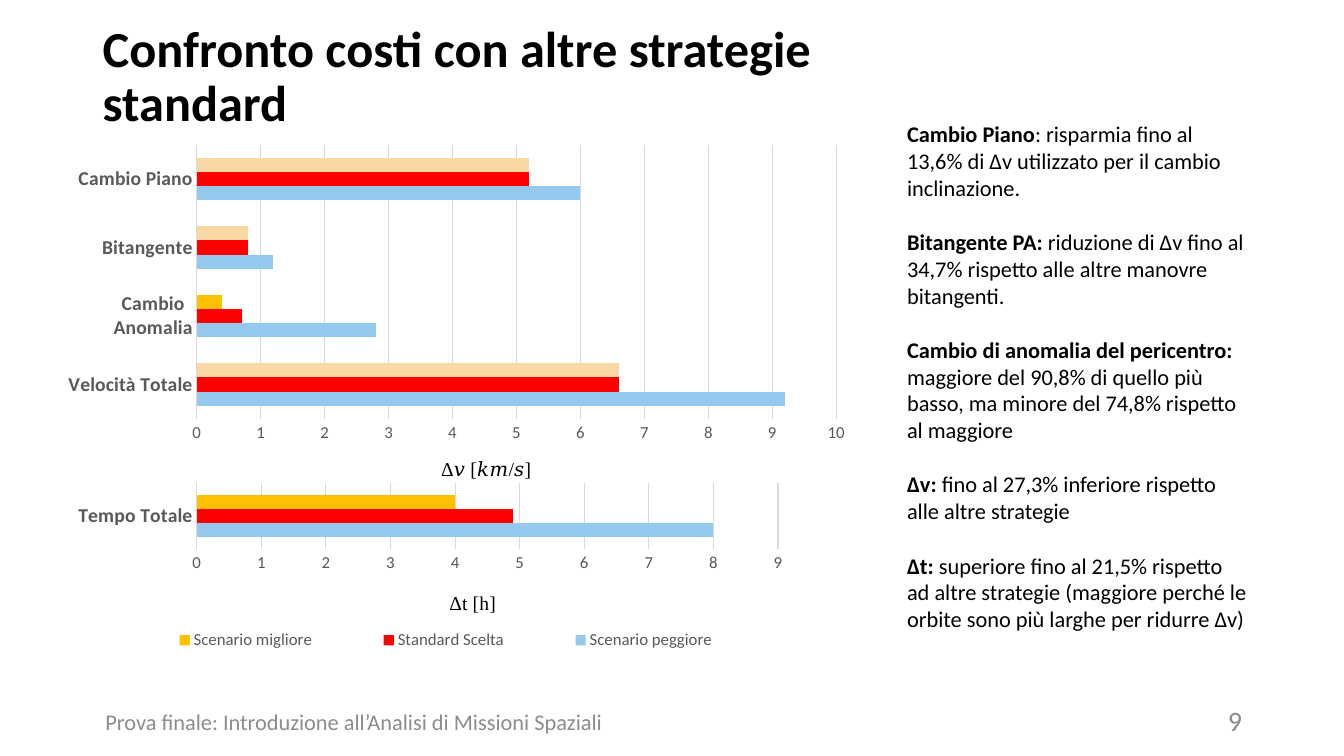
from dataclasses import dataclass

from lxml.etree import SubElement
from pptx import Presentation
from pptx.chart.data import CategoryChartData
from pptx.dml.color import RGBColor
from pptx.enum.chart import XL_CHART_TYPE as ChartType
from pptx.enum.chart import XL_LEGEND_POSITION as LegendPosition
from pptx.enum.chart import XL_TICK_MARK as TickMark
from pptx.enum.text import MSO_ANCHOR as Anchor
from pptx.enum.text import PP_ALIGN as Align
from pptx.oxml.ns import qn
from pptx.util import Cm, Pt


@dataclass(frozen=True)
class Theme:
    font: str = "Calibri"
    math_font: str = "Times New Roman"
    ink: str = "000000"
    muted: str = "8C8C8C"
    axis: str = "595959"
    grid: str = "D9D9D9"
    worst: str = "94C8ED"
    chosen: str = "FF0000"
    best: str = "FFC000"
    tied: str = "F9D8A3"
    title: int = 36
    page: int = 20
    body: int = 16
    label: int = 14
    tick: int = 12
    chart: int = 10


THEME = Theme()

SCENARIOS = (
    ("Scenario peggiore", THEME.worst),
    ("Standard Scelta", THEME.chosen),
    ("Scenario migliore", THEME.best),
)

REMARKS = (
    ("Cambio Piano", ": risparmia fino al 13,6% di Δv utilizzato per il cambio inclinazione."),
    ("Bitangente PA: ", "riduzione di Δv fino al 34,7% rispetto alle altre manovre bitangenti."),
    ("Cambio di anomalia del pericentro: ",
     "maggiore del 90,8% di quello più basso, ma minore del 74,8% rispetto al maggiore"),
    ("Δv: ", "fino al 27,3% inferiore rispetto alle altre strategie"),
    ("Δt: ", "superiore fino al 21,5% rispetto ad altre strategie "
             "(maggiore perché le orbite sono più larghe per ridurre Δv)"),
)


def style_font(font, size, color, bold=False, name=THEME.font):
    font.size = Pt(size)
    font.name = name
    font.bold = bold
    font.color.rgb = RGBColor.from_string(color)


def write(paragraph, text, size=THEME.body, color=THEME.ink, bold=False, name=THEME.font):
    run = paragraph.add_run()
    run.text = text
    style_font(run.font, size, color, bold, name)


def add_frame(slide, box, anchor=Anchor.MIDDLE):
    frame = slide.shapes.add_textbox(*map(Cm, box)).text_frame
    frame.word_wrap = True
    frame.vertical_anchor = anchor
    return frame


def add_line(slide, box, text, align=Align.LEFT, spacing=None, **text_format):
    paragraph = add_frame(slide, box).paragraphs[0]
    paragraph.alignment = align
    paragraph.line_spacing = spacing
    write(paragraph, text, **text_format)


def add_remarks(slide, box):
    frame = add_frame(slide, box, Anchor.TOP)
    for index, (heading, remark) in enumerate(REMARKS):
        paragraph = frame.add_paragraph() if index else frame.paragraphs[0]
        if index:
            paragraph.space_before = Pt(19.5)
        write(paragraph, heading, bold=True)
        write(paragraph, remark)


def place(element, position, inner=False, **fractions):
    for existing in element.findall(qn("c:layout")):
        element.remove(existing)
    layout = element.makeelement(qn("c:layout"))
    element.insert(position, layout)
    manual = SubElement(layout, qn("c:manualLayout"))
    if inner:
        SubElement(manual, qn("c:layoutTarget")).set("val", "inner")
    for side in "xy":
        SubElement(manual, qn(f"c:{side}Mode")).set("val", "edge")
    for key, fraction in fractions.items():
        SubElement(manual, qn(f"c:{key}")).set("val", str(fraction))


def style_axes(chart, maximum, unit, unit_x, unit_y):
    categories, values = chart.category_axis, chart.value_axis
    for axis in (categories, values):
        axis.major_tick_mark = axis.minor_tick_mark = TickMark.NONE
    style_font(categories.tick_labels.font, THEME.label, THEME.axis, bold=True)
    style_font(values.tick_labels.font, THEME.tick, THEME.axis)
    values.minimum_scale, values.maximum_scale, values.major_unit = 0, maximum, 1
    values.tick_labels.number_format = "0"
    values.tick_labels.number_format_is_linked = False
    values.format.line.fill.background()
    for line in (categories.format.line, values.major_gridlines.format.line):
        line.width = Pt(0.75)
        line.color.rgb = RGBColor.from_string(THEME.grid)
    title = values.axis_title
    write(title.text_frame.paragraphs[0], unit, size=THEME.label, name=THEME.math_font)
    place(title._element, 1, x=unit_x, y=unit_y)


def add_bars(slide, box, categories, rows, plot, tied=(), **axes):
    chart_data = CategoryChartData()
    chart_data.categories = categories
    for (scenario, _), values in zip(SCENARIOS, rows):
        chart_data.add_series(scenario, values)
    chart = slide.shapes.add_chart(
        ChartType.BAR_CLUSTERED, *map(Cm, box), chart_data).chart
    chart.has_title = chart.has_legend = False
    style_font(chart.font, THEME.chart, THEME.ink)
    style_axes(chart, **axes)
    bars = chart.plots[0]
    bars.gap_width, bars.overlap, bars.vary_by_categories = 182, 0, False
    for series, (_, color) in zip(bars.series, SCENARIOS):
        series.format.fill.solid()
        series.format.fill.fore_color.rgb = RGBColor.from_string(color)
    for index in tied:
        fill = bars.series[-1].points[index].format.fill
        fill.solid()
        fill.fore_color.rgb = RGBColor.from_string(THEME.tied)
    place(chart._chartSpace.chart.plotArea, 0, inner=True, **plot)
    return chart


def add_legend(chart):
    chart.has_legend = True
    legend = chart.legend
    legend.position = LegendPosition.BOTTOM
    legend.include_in_layout = False
    style_font(legend.font, THEME.tick, THEME.axis)
    place(legend._element, 1, x=0.07, y=0.73, w=0.8, h=0.13)


def main():
    deck = Presentation()
    deck.slide_width, deck.slide_height = Cm(33.87), Cm(19.05)
    slide = deck.slides.add_slide(deck.slide_layouts[6])
    add_line(slide, (2.34, 1.14, 22.35, 1.65), "Confronto costi con altre strategie standard",
             spacing=0.9, size=THEME.title, bold=True)
    add_line(slide, (2.34, 17.7, 13.16, 0.94),
             "Prova finale: Introduzione all’Analisi di Missioni Spaziali",
             align=Align.CENTER, color=THEME.muted)
    add_line(slide, (23.93, 17.65, 7.62, 1.02), "9",
             align=Align.RIGHT, size=THEME.page, color=THEME.muted)
    add_bars(slide, (1.4, 2.9, 20.93, 9.35),
             ("Velocità Totale", "Cambio Anomalia", "Bitangente", "Cambio Piano"),
             ((9.2, 2.8, 1.2, 6), (6.6, 0.7, 0.8, 5.2), (6.6, 0.4, 0.8, 5.2)),
             dict(x=0.17, y=0.08, w=0.77, h=0.74), tied=(0, 2, 3),
             maximum=10, unit="Δ𝑣 [𝑘𝑚/𝑠]", unit_x=0.46, unit_y=0.91)
    add_remarks(slide, (22.61, 2.9, 9.14, 13.26))
    duration = add_bars(slide, (1.4, 11.73, 20.93, 5.54), ("Tempo Totale",),
                        ((8,), (4.9,), (4,)), dict(x=0.17, y=0.08, w=0.7, h=0.3),
                        maximum=9, unit="Δt [h]", unit_x=0.47, unit_y=0.55)
    add_legend(duration)
    deck.save("out.pptx")


if __name__ == "__main__":
    main()
